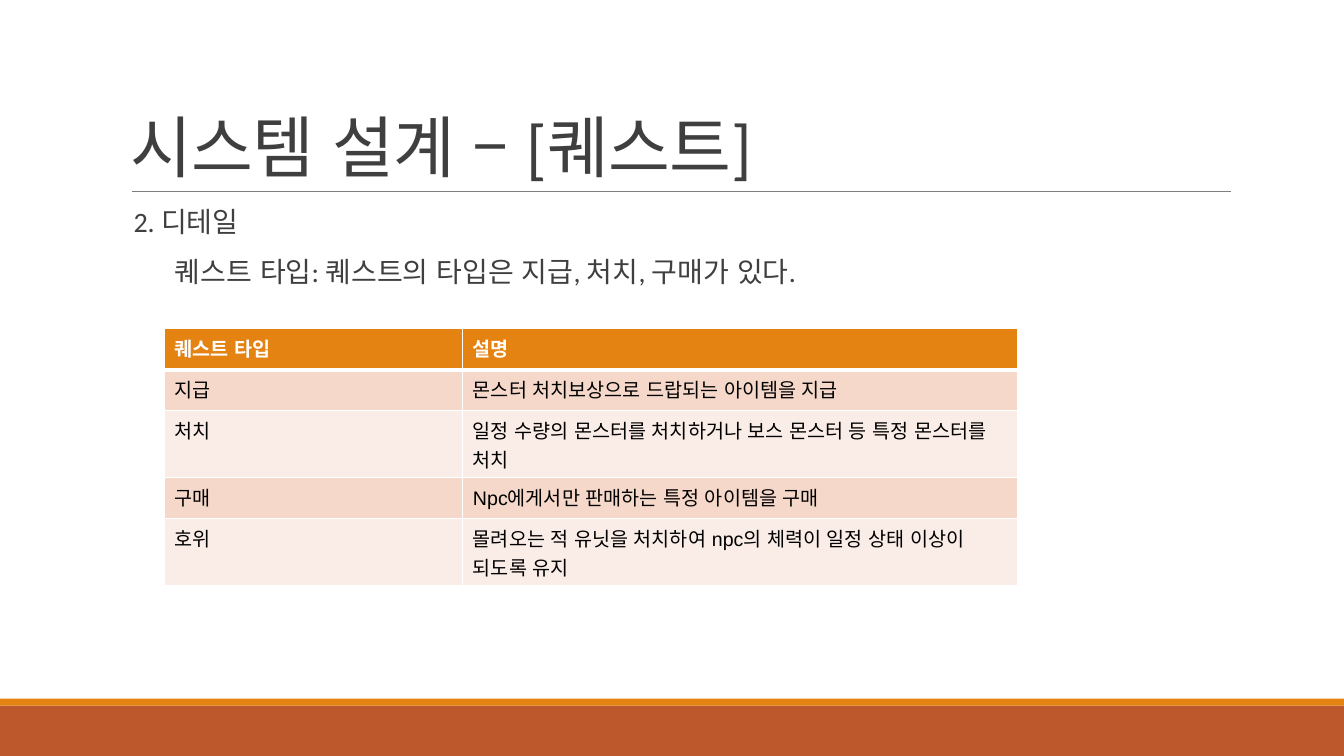
from lxml.etree import SubElement
from pptx import Presentation
from pptx.dml.color import RGBColor
from pptx.enum.lang import MSO_LANGUAGE_ID as LANGUAGE
from pptx.enum.shapes import MSO_CONNECTOR as CONNECTOR, MSO_SHAPE as SHAPE
from pptx.enum.text import MSO_ANCHOR as ANCHOR
from pptx.oxml.ns import qn
from pptx.util import Pt

TITLE = "시스템 설계 – [퀘스트]"
BODY = [  # text, indent
    ("2. 디테일", 9),
    ("퀘스트 타입: 퀘스트의 타입은 지급, 처치, 구매가 있다.", 38.5),
]
QUESTS = [  # type, description, lines of text in the row
    ("퀘스트 타입", "설명", 1),
    ("지급", "몬스터 처치보상으로 드랍되는 아이템을 지급", 1),
    ("처치", "일정 수량의 몬스터를 처치하거나 보스 몬스터 등 특정 몬스터를 처치", 2),
    ("구매", "Npc에게서만 판매하는 특정 아이템을 구매", 1),
    ("호위", "몰려오는 적 유닛을 처치하여 npc의 체력이 일정 상태 이상이 되도록 유지", 2),
]
COLORS = {
    "text": "3F3F3F", "rule": "7F7F7F", "footer": "BD582C", "accent": "E48312",
    "dark band": "F5D8CA", "light band": "FAECE6", "white": "FFFFFF", "black": "000000",
}
SLIDE_W, SLIDE_H = 960, 540
FOOTER_TOP, ACCENT_TOP = 504, 499
TEXT_LEFT, TEXT_W = 86.4, 792
COLUMN_WIDTHS = (213, 396.5)
ROW_HEIGHTS = {1: 29.2, 2: 48}  # by lines of text


def rgb(name):
    return RGBColor.from_string(COLORS[name])


def set_font(paragraph, name, size, color, bold=False):
    font = paragraph.font
    font.name, font.size, font.bold = name, Pt(size), bold
    font.color.rgb = rgb(color)
    for run in paragraph.runs:
        run.font.language_id = LANGUAGE.KOREAN


def add_band(top, bottom, color):
    band = slide.shapes.add_shape(SHAPE.RECTANGLE, 0, Pt(top), Pt(SLIDE_W), Pt(bottom - top))
    band.shadow.inherit = False
    band.fill.solid()
    band.fill.fore_color.rgb = rgb(color)
    band.line.fill.background()


def add_text_frame(top, height, side_inset, anchor):
    box = slide.shapes.add_textbox(Pt(TEXT_LEFT), Pt(top), Pt(TEXT_W), Pt(height))
    frame = box.text_frame
    frame.word_wrap = True
    frame.vertical_anchor = anchor
    frame.margin_left = frame.margin_right = Pt(side_inset)
    return frame


def set_borders(cell, widths):
    """Draw white borders; widths maps a side (L, R, T, B) to points."""
    properties = cell._tc.get_or_add_tcPr()
    for position, (side, width) in enumerate(widths.items()):
        border = properties.makeelement(qn(f"a:ln{side}"), {"w": str(Pt(width))})
        fill = SubElement(border, qn("a:solidFill"))
        SubElement(fill, qn("a:srgbClr"), val=COLORS["white"])
        properties.insert(position, border)


prs = Presentation()
prs.slide_width, prs.slide_height = Pt(SLIDE_W), Pt(SLIDE_H)
slide = prs.slides.add_slide(prs.slide_layouts[6])

add_band(FOOTER_TOP, SLIDE_H, "footer")
add_band(ACCENT_TOP, FOOTER_TOP, "accent")

rule = slide.shapes.add_connector(CONNECTOR.STRAIGHT, Pt(94.3), Pt(136.8), Pt(879), Pt(136.8))
rule.line.color.rgb = rgb("rule")
rule.line.width = Pt(0.75)
SubElement(rule._element.spPr, qn("a:effectLst"))

title = add_text_frame(22.3, 114.5, 7.2, ANCHOR.BOTTOM).paragraphs[0]
title.text = TITLE
title.line_spacing = 0.85
set_font(title, "Calibri", 48, "text")
title.runs[0].font._element.set("spc", "-50")

body = add_text_frame(145.4, 316.8, 0, ANCHOR.TOP)
for index, (text, indent) in enumerate(BODY):
    paragraph = body.add_paragraph() if index else body.paragraphs[0]
    paragraph.text = text
    paragraph.line_spacing = 0.9
    paragraph.space_before = Pt(14)
    paragraph._p.get_or_add_pPr().set("marL", str(Pt(indent)))
    set_font(paragraph, "Calibri", 20, "text")

row_heights = [ROW_HEIGHTS[lines] for *_, lines in QUESTS]
table = slide.shapes.add_table(
    len(QUESTS), len(COLUMN_WIDTHS), Pt(117.6), Pt(234.9),
    Pt(sum(COLUMN_WIDTHS)), Pt(sum(row_heights)),
).table
for column, width in zip(table.columns, COLUMN_WIDTHS):
    column.width = Pt(width)
for row, height in zip(table.rows, row_heights):
    row.height = Pt(height)
for r, (*texts, _) in enumerate(QUESTS):
    header = r == 0
    band_color = "accent" if header else "dark band" if r % 2 else "light band"
    for c, text in enumerate(texts):
        cell = table.cell(r, c)
        cell.text = text
        set_font(cell.text_frame.paragraphs[0], "Arial", 14,
                 "white" if header else "black", header)
        cell.fill.solid()
        cell.fill.fore_color.rgb = rgb(band_color)
        set_borders(cell, {"L": 1, "R": 1, "T": 3 if r == 1 else 1, "B": 3 if header else 1})

prs.save("out.pptx")
